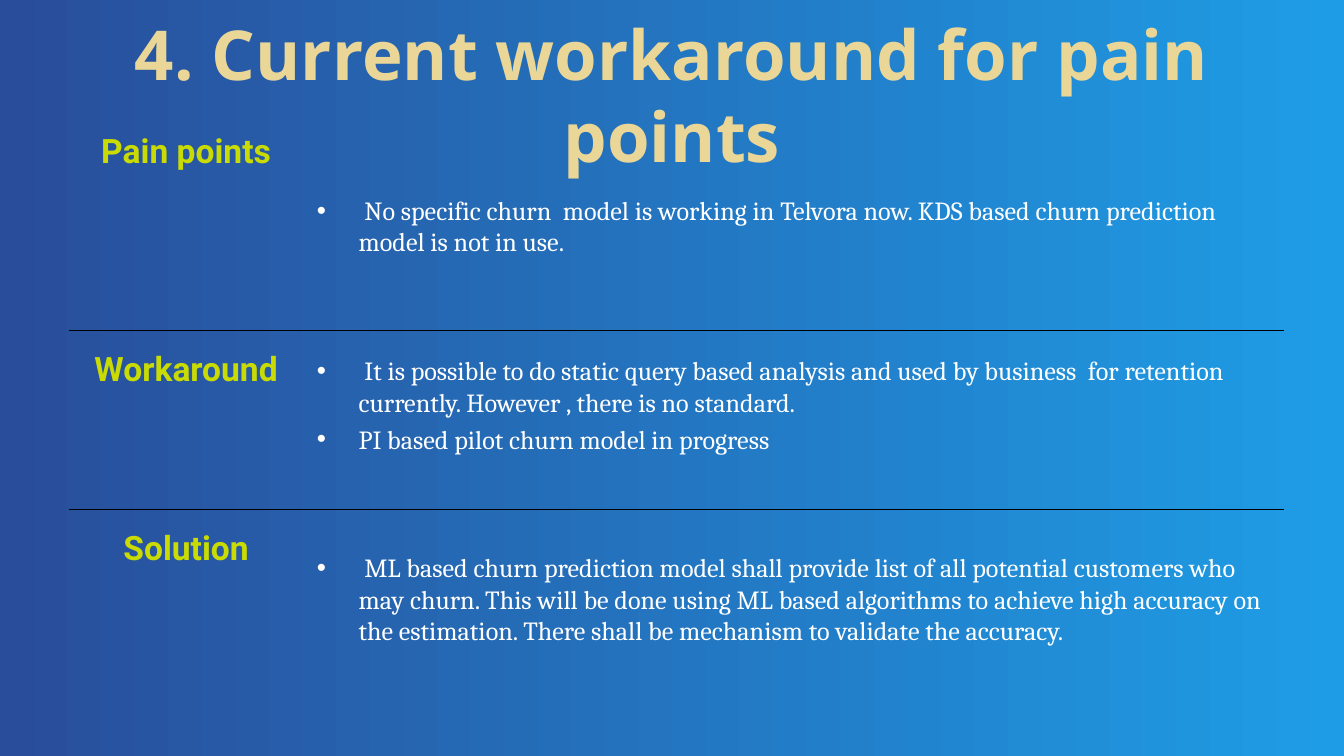
from dataclasses import dataclass

from lxml import etree
from pptx import Presentation
from pptx.dml.color import RGBColor
from pptx.enum.shapes import MSO_CONNECTOR
from pptx.enum.text import MSO_ANCHOR, MSO_AUTO_SIZE, PP_ALIGN
from pptx.oxml.ns import qn
from pptx.util import Inches, Pt

CENTER = PP_ALIGN.CENTER
TOP, MIDDLE = MSO_ANCHOR.TOP, MSO_ANCHOR.MIDDLE
STRAIGHT = MSO_CONNECTOR.STRAIGHT


@dataclass(frozen=True)
class Style:
    font: str
    size: float
    color: str
    bold: bool = False


@dataclass(frozen=True)
class Theme:
    right: str = "1E9DE6"
    left: str = "294D9A"
    rule: str = "000000"
    title: Style = Style("Noto Sans", 36.9, "EAD696", True)
    label: Style = Style("Roboto", 18, "C9DB03", True)
    body: Style = Style("Cambria", 14, "FFFFFF")


THEME = Theme()

# Grid: a label column and a list column, three equal rows
WIDTH = 10
HEIGHT = WIDTH * 9 / 16
LEFT, SPLIT, RIGHT = 0.51, 2.26, 9.55
FIRST, STEP, ROW = 1.21, 1.33, 1.17
GAP = 0.08      # from a rule down to the next row
LIFT = 0.29     # the first label sits above its list
INDENT = 0.31
LINE = 0.23     # room kept free below a list

# Label, label lift, room below the list, list items
ROWS = [
    ("Pain points", LIFT, LINE, [
        " No specific churn  model is working in Telvora now. KDS based "
        "churn prediction model is not in use."]),
    ("Workaround", 0, LINE, [
        " It is possible to do static query based analysis and used by "
        "business  for retention currently. However , there is no standard.",
        "PI based pilot churn model in progress"]),
    ("Solution", 0, 0, [
        " ML based churn prediction model shall provide list of all potential "
        "customers who may churn. This will be done using ML based algorithms "
        "to achieve high accuracy on the estimation. There shall be mechanism "
        "to validate the accuracy."]),
]


def add_run(para, text, style):
    run = para.add_run()
    run.text = text
    font = run.font
    font.name, font.size, font.bold = style.font, Pt(style.size), style.bold
    font.color.rgb = RGBColor.from_string(style.color)


def add_box(slide, left, top, width, anchor):
    box = slide.shapes.add_textbox(
        Inches(left), Inches(top), Inches(width), Inches(ROW))
    frame = box.text_frame
    frame.word_wrap = True
    frame.vertical_anchor = anchor
    return frame


def paint_back(slide):
    fill = slide.background.fill
    fill.gradient()
    fill.gradient_angle = 180
    for stop, color in zip(fill.gradient_stops, (THEME.right, THEME.left)):
        stop.color.rgb = RGBColor.from_string(color)


def set_title(slide, text):
    title = slide.shapes.title
    title.left, title.top = Inches(0.5), Inches(0.23)
    title.width, title.height = Inches(9), Inches(0.94)
    frame = title.text_frame
    frame.word_wrap = True
    frame.auto_size = MSO_AUTO_SIZE.NONE
    frame.vertical_anchor = MIDDLE
    para = frame.paragraphs[0]
    para.alignment = CENTER
    add_run(para, text, THEME.title)


def add_label(slide, top, text):
    para = add_box(slide, LEFT, top, SPLIT - LEFT, TOP).paragraphs[0]
    para.alignment = CENTER
    add_run(para, text, THEME.label)


def add_list(slide, top, items, room):
    frame = add_box(slide, SPLIT, top, RIGHT - SPLIT, MIDDLE)
    frame.margin_bottom = Inches(0.05 + room)
    for i, item in enumerate(items):
        para = frame.add_paragraph() if i else frame.paragraphs[0]
        props = para._p.get_or_add_pPr()
        props.set("marL", str(Inches(INDENT)))
        props.set("indent", str(-Inches(INDENT)))
        font = etree.SubElement(props, qn("a:buFont"))
        font.set("typeface", "Arial")
        etree.SubElement(props, qn("a:buChar")).set("char", "•")
        if i:
            para.space_before = Pt(3)
        add_run(para, item, THEME.body)


def add_rule(slide, y):
    rule = slide.shapes.add_connector(
        STRAIGHT, Inches(LEFT), Inches(y), Inches(RIGHT), Inches(y))
    rule.line.color.rgb = RGBColor.from_string(THEME.rule)
    rule.line.width = Pt(0.5)
    etree.SubElement(rule._element.spPr, qn("a:effectLst"))


def main():
    deck = Presentation()
    deck.slide_width, deck.slide_height = Inches(WIDTH), Inches(HEIGHT)
    slide = deck.slides.add_slide(deck.slide_layouts[5])
    paint_back(slide)
    set_title(slide, "4. Current workaround for pain points")

    # One row per topic, with a rule between rows
    for i, (label, lift, room, items) in enumerate(ROWS):
        top = FIRST + i * STEP
        add_label(slide, top - lift, label)
        add_list(slide, top, items, room)
        if i:
            add_rule(slide, top - GAP)

    deck.save("out.pptx")


if __name__ == "__main__":
    main()
